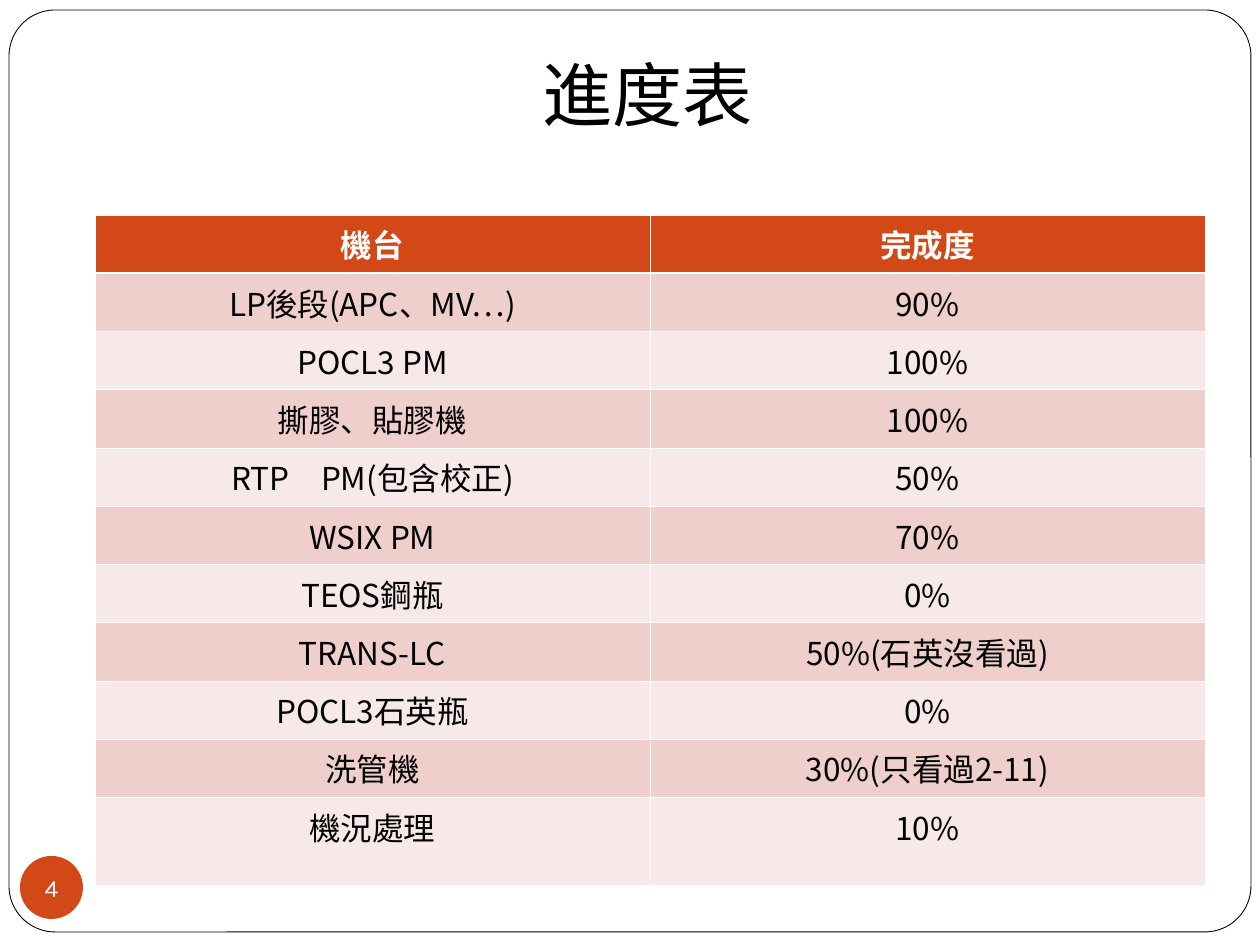
from typing import NamedTuple

from lxml import etree
from pptx import Presentation, util as u
from pptx.dml.color import RGBColor
from pptx.enum import shapes, text
from pptx.oxml import ns

EMU_PER_PX = 914400 / 126
COLORS = {
    "accent": "D34817",
    "band_dark": "EFCFCC",
    "band_light": "F7E9E7",
    "white": "FFFFFF",
    "black": "000000",
}
CJK_FONT = "Noto Sans CJK SC"
THIN, THICK = 0.45, 1.47  # table borders in points


class Box(NamedTuple):
    left: int
    top: int
    width: int
    height: int


class Progress(NamedTuple):
    machine: str
    done: str


HEADER = Progress("機台", "完成度")
PROGRESS = [
    Progress("LP後段(APC、MV…)", "90%"),
    Progress("POCL3 PM", "100%"),
    Progress("撕膠、貼膠機", "100%"),
    Progress("RTP　PM(包含校正)", "50%"),
    Progress("WSIX PM", "70%"),
    Progress("TEOS鋼瓶", "0%"),
    Progress("TRANS-LC", "50%(石英沒看過)"),
    Progress("POCL3石英瓶", "0%"),
    Progress("洗管機", "30%(只看過2-11)"),
    Progress("機況處理", "10%"),
]
ROW_HEIGHT, LAST_ROW_HEIGHT = 58, 88


def px(length: int) -> u.Emu:
    return u.Emu(round(length * EMU_PER_PX))


def emu(box: Box) -> list[u.Emu]:
    return [px(length) for length in box]


def rgb(name: str) -> RGBColor:
    return RGBColor.from_string(COLORS[name])


def write(frame, words: str, size: int, color: str, font: str = CJK_FONT,
          align=text.PP_ALIGN.CENTER, bold: bool = False) -> None:
    frame.text = words
    paragraph = frame.paragraphs[0]
    paragraph.alignment = align
    paragraph.font.name = font
    paragraph.font.size = u.Pt(size)
    paragraph.font.bold = bold
    paragraph.font.color.rgb = rgb(color)


def add_preset(slide, preset, box: Box, fill: str):
    shape = slide.shapes.add_shape(preset, *emu(box))
    shape.shadow.inherit = False
    shape.fill.solid()
    shape.fill.fore_color.rgb = rgb(fill)
    shape.line.fill.background()
    return shape


def set_borders(cell, top: float, bottom: float) -> None:
    properties = cell._tc.get_or_add_tcPr()
    for side, points in (("L", THIN), ("R", THIN), ("T", top), ("B", bottom)):
        line = etree.SubElement(properties, ns.qn(f"a:ln{side}"), w=str(u.Pt(points)))
        fill = etree.SubElement(line, ns.qn("a:solidFill"))
        etree.SubElement(fill, ns.qn("a:srgbClr"), val=COLORS["white"])


def add_progress_table(slide, box: Box):
    graphic = slide.shapes.add_table(len(PROGRESS) + 1, 2, *emu(box))
    table = graphic.table
    for r, entry in enumerate([HEADER, *PROGRESS]):
        is_header = r == 0
        is_last = r == len(PROGRESS)
        band = "accent" if is_header else "band_dark" if r % 2 else "band_light"
        table.rows[r].height = px(LAST_ROW_HEIGHT if is_last else ROW_HEIGHT)
        for cell, words in zip(table.rows[r].cells, entry):
            set_borders(cell, top=THICK if r == 1 else THIN,
                        bottom=THICK if is_header else THIN)
            cell.fill.solid()
            cell.fill.fore_color.rgb = rgb(band)
            write(cell.text_frame, words, 18, "white" if is_header else "black",
                  bold=is_header)
    return graphic


def main() -> None:
    deck = Presentation()
    deck.slide_width, deck.slide_height = px(1260), px(945)
    slide = deck.slides.add_slide(deck.slide_layouts[5])

    # Rounded page frame
    page_frame = add_preset(slide, shapes.MSO_SHAPE.ROUNDED_RECTANGLE,
                            Box(9, 10, 1242, 922), "white")
    page_frame.adjustments[0] = 0.05
    page_frame.line.color.rgb = rgb("black")
    page_frame.line.width = u.Pt(0.5)

    # Page number badge
    badge = add_preset(slide, shapes.MSO_SHAPE.OVAL, Box(20, 856, 63, 63), "accent")
    number = badge.text_frame
    number.margin_left = number.margin_right = 0
    number.margin_top = number.margin_bottom = 0
    number.word_wrap = False
    number.vertical_anchor = text.MSO_ANCHOR.MIDDLE
    write(number, "4", 14, "white", font="Karla")

    # Progress table
    table_height = ROW_HEIGHT * len(PROGRESS) + LAST_ROW_HEIGHT
    progress = add_progress_table(slide, Box(95, 215, 1110, table_height))

    # Title, stacked above the frame
    title = slide.shapes.title
    title.left, title.top, title.width, title.height = emu(Box(530, 45, 466, 97))
    title.text_frame.vertical_anchor = text.MSO_ANCHOR.TOP
    title.text_frame.word_wrap = True
    title.text_frame.auto_size = text.MSO_AUTO_SIZE.SHAPE_TO_FIT_TEXT
    write(title.text_frame, "進度表", 40, "black", align=text.PP_ALIGN.LEFT)
    progress.element.addnext(title.element)

    deck.save("out.pptx")


if __name__ == "__main__":
    main()
